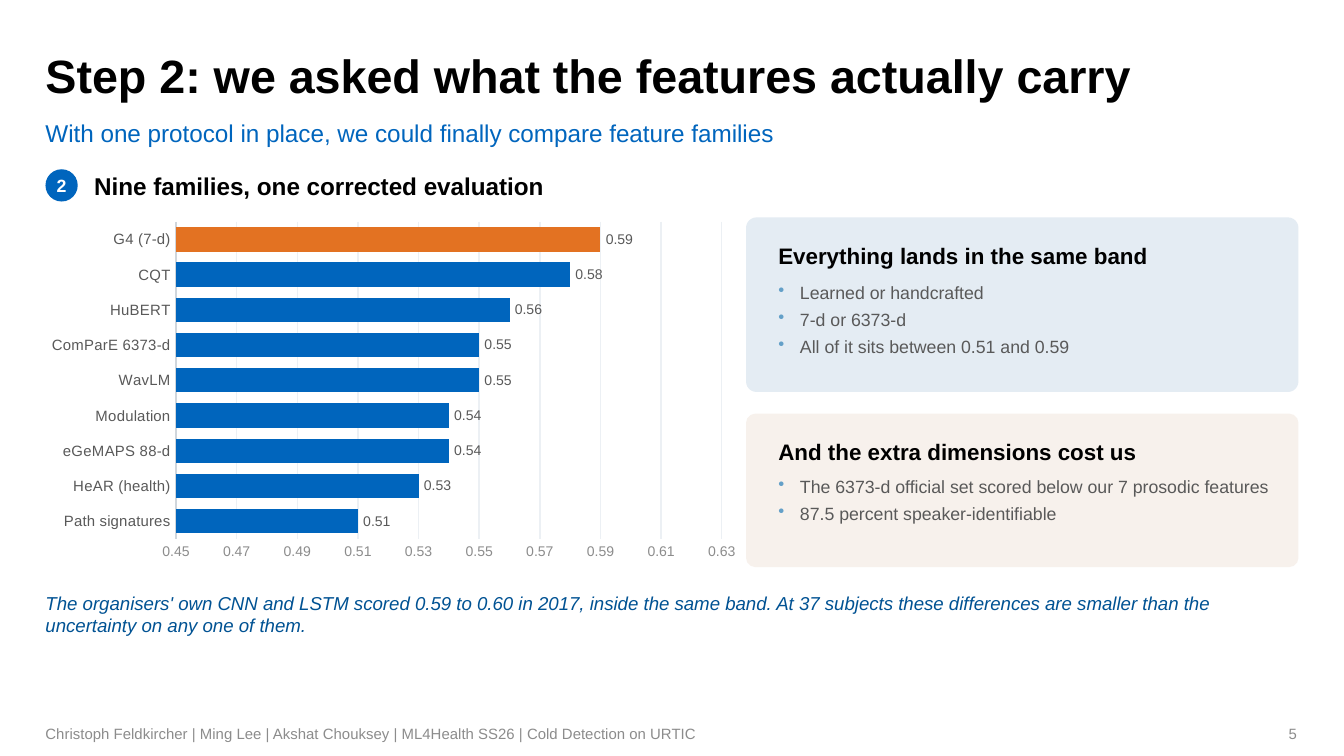
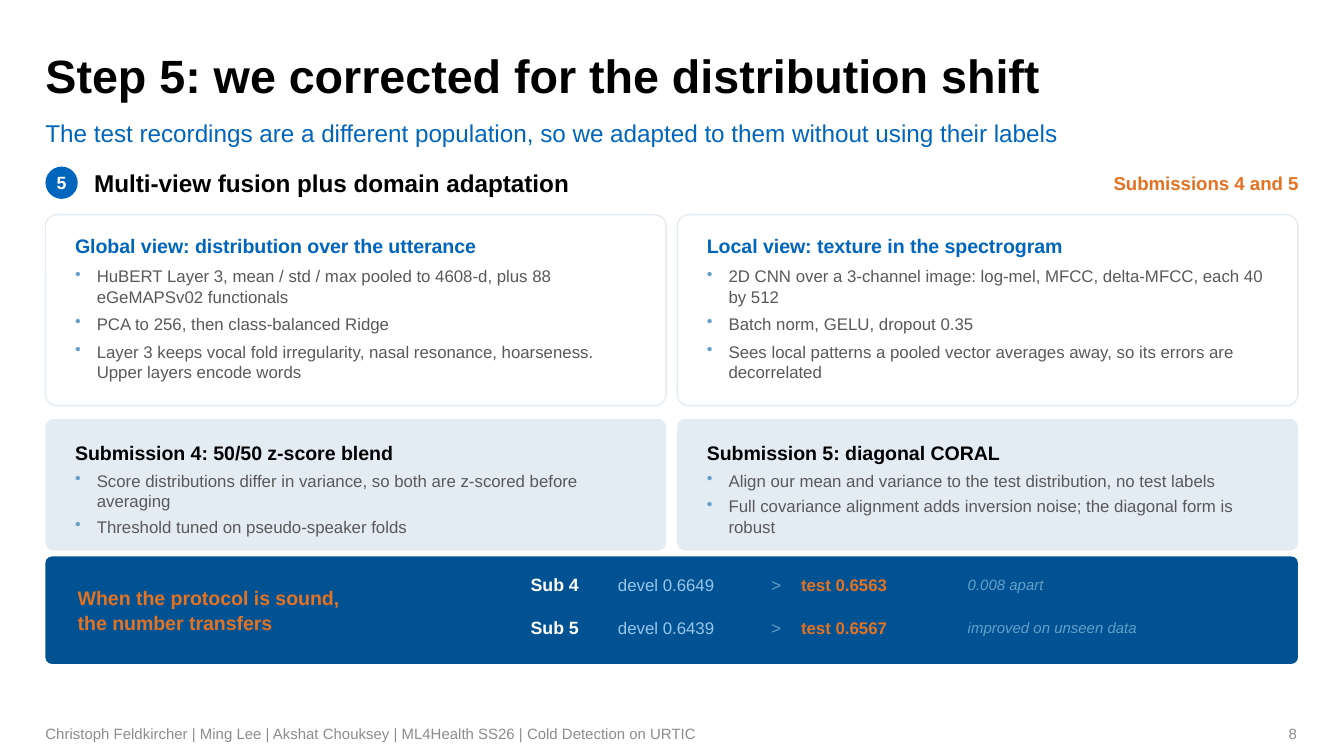
import pptx
import pptx.chart.data
import pptx.dml.color
import pptx.enum.chart
import pptx.enum.shapes
import pptx.enum.text
import pptx.oxml.ns
import pptx.util
from lxml import etree

Cm, Pt = pptx.util.Cm, pptx.util.Pt
ALIGN = pptx.enum.text.PP_ALIGN
ANCHOR = pptx.enum.text.MSO_ANCHOR
SHAPE = pptx.enum.shapes.MSO_SHAPE
CHART = pptx.enum.chart

COLORS = {
    "black": "000000", "white": "FFFFFF", "blue": "0065BD", "navy": "005293",
    "orange": "E37222", "text": "595959", "muted": "8C8C8C", "bullet": "64A0C8",
    "sky": "98C6EA", "pale": "E4ECF3", "sand": "F7F1EC", "axis": "D0D6DC",
    "grid": "ECF0F4",
}
FONT = "Arial"
LEFT, WIDTH = 0.86, 23.67  # content column, in cm

STYLES = {
    "title": {"size": Pt(25), "bold": True, "color": "black"},
    "subtitle": {"size": Pt(13), "color": "blue"},
    "footer": {"size": Pt(8), "color": "muted"},
    "badge": {"size": Pt(9.5), "bold": True, "color": "white"},
    "heading": {"size": Pt(13), "bold": True, "color": "black"},
    "tag": {"size": Pt(10), "bold": True, "color": "orange"},
    "card large": {"size": Pt(12), "bold": True, "color": "black"},
    "card": {"size": Pt(10.5), "bold": True, "color": "black"},
    "card blue": {"size": Pt(10.5), "bold": True, "color": "blue"},
    "bullets large": {"size": Pt(9.5), "color": "text"},
    "bullets": {"size": Pt(9), "color": "text"},
    "note": {"size": Pt(10), "italic": True, "color": "navy"},
    "claim": {"size": Pt(10.5), "bold": True, "color": "orange"},
    "devel": {"size": Pt(9), "color": "sky"},
    "arrow": {"size": Pt(9), "color": "bullet"},
    "test": {"size": Pt(9), "bold": True, "color": "orange"},
    "remark": {"size": Pt(8), "italic": True, "color": "bullet"},
    "categories": {"size": Pt(8), "color": "text"},
    "values": {"size": Pt(7.5), "color": "muted"},
    "labels": {"size": Pt(7.5), "color": "text"},
}


def rgb(name):
    return pptx.dml.color.RGBColor.from_string(COLORS[name])


class SlideBuilder:
    """Holds the shared style and the slide being built."""

    def __init__(self):
        self.deck = pptx.Presentation()
        self.deck.slide_width, self.deck.slide_height = Cm(25.4), Cm(14.29)
        self.page = None

    def start(self, number, title, subtitle):
        self.page = self.deck.slides.add_slide(self.deck.slide_layouts[6])
        self.text((LEFT, 0.81, 23.65, 1.07), [title], "title", line_spacing=Pt(32))
        self.text((LEFT, 1.9, 23.65, 0.89), [subtitle], "subtitle",
                  inset_top=0.25, line_spacing=Pt(18))
        self.text((LEFT, 13.49, 17.96, 0.76),
                  ["Christoph Feldkircher | Ming Lee | Akshat Chouksey | "
                   "ML4Health SS26 | Cold Detection on URTIC"],
                  "footer", ANCHOR.MIDDLE)
        self.text((18.82, 13.49, 5.69, 0.76), [str(number)], "footer",
                  ANCHOR.MIDDLE, alignment=ALIGN.RIGHT)

    def style(self, font, name):
        font.name = FONT
        for key, value in STYLES[name].items():
            if key == "color":
                font.color.rgb = rgb(value)
            else:
                setattr(font, key, value)

    def fill_text(self, shape, lines, style, anchor=ANCHOR.TOP, inset_top=0,
                  bulleted=False, **paragraph_format):
        frame = shape.text_frame
        frame_format = {
            "word_wrap": True, "vertical_anchor": anchor, "margin_left": 0,
            "margin_top": Cm(inset_top), "margin_right": 0, "margin_bottom": 0,
        }
        for key, value in frame_format.items():
            setattr(frame, key, value)
        for index, line in enumerate(lines):
            para = frame.add_paragraph() if index else frame.paragraphs[0]
            if bulleted:
                self.bullet(para)
            for key, value in paragraph_format.items():
                setattr(para, key, value)
            span = para.add_run()
            span.text = line
            self.style(span.font, style)

    def bullet(self, para):
        properties = para._p.get_or_add_pPr()
        properties.set("marL", str(Cm(0.41)))
        properties.set("indent", str(-Cm(0.41)))
        qn = pptx.oxml.ns.qn
        color = etree.SubElement(properties, qn("a:buClr"))
        etree.SubElement(color, qn("a:srgbClr"), val=COLORS["bullet"])
        etree.SubElement(properties, qn("a:buChar"), char="•")

    def text(self, area, lines, style, anchor=ANCHOR.TOP, **options):
        box = self.page.shapes.add_textbox(*map(Cm, area))
        self.fill_text(box, lines, style, anchor, **options)

    def shape(self, kind, area, fill, line=None):
        shape = self.page.shapes.add_shape(kind, *map(Cm, area))
        shape.shadow.inherit = False
        shape.fill.solid()
        shape.fill.fore_color.rgb = rgb(fill)
        if line:
            shape.line.color.rgb = rgb(line)
            shape.line.width = Pt(0.75)
        else:
            shape.line.fill.background()
        if kind == SHAPE.ROUNDED_RECTANGLE:
            shape.adjustments[0] = 0.06
        return shape

    def panel(self, area, fill, line=None):
        return self.shape(SHAPE.ROUNDED_RECTANGLE, area, fill, line)

    def section(self, top, number, heading):
        badge = self.shape(SHAPE.OVAL, (LEFT, top, 0.61, 0.61), "blue")
        self.fill_text(badge, [str(number)], "badge", ANCHOR.MIDDLE,
                       alignment=ALIGN.CENTER)
        self.text((1.78, top, 13, 0.61), [heading], "heading", ANCHOR.MIDDLE)

    def card(self, area, fill, heading, bullets, pad, heading_drop, bullet_drop,
             style="card", bullet_style="bullets", gap=3, line=None):
        left, top, width, height = area
        self.panel(area, fill, line)
        inner = width - 2 * pad
        self.text((left + pad, top + heading_drop, inner, 0.55), [heading], style)
        self.text((left + pad, top + bullet_drop, inner + 0.13,
                   height - bullet_drop - 0.15),
                  bullets, bullet_style, bulleted=True, space_after=Pt(gap))

    def bar_chart(self, area, scores, highlight):
        data = pptx.chart.data.CategoryChartData(number_format="0.00")
        data.categories = list(scores)
        data.add_series("Series 1", list(scores.values()))
        chart = self.page.shapes.add_chart(
            CHART.XL_CHART_TYPE.BAR_CLUSTERED, *map(Cm, area), data).chart
        chart.has_legend = chart.has_title = False
        self.style(chart.font, "categories")

        # Bars and their values
        plot = chart.plots[0]
        plot.gap_width, plot.vary_by_categories = 45, False
        series = plot.series[0]
        point = series.points[list(scores).index(highlight)]
        for bar, color in ((series, "blue"), (point, "orange")):
            bar.format.fill.solid()
            bar.format.fill.fore_color.rgb = rgb(color)
        labels = series.data_labels
        label_format = {
            "show_value": True, "number_format": "0.00",
            "number_format_is_linked": False,
            "position": CHART.XL_LABEL_POSITION.OUTSIDE_END,
        }
        for key, value in label_format.items():
            setattr(labels, key, value)
        self.style(labels.font, "labels")

        # Axes
        names, values = chart.category_axis, chart.value_axis
        for axis, style in ((names, "categories"), (values, "values")):
            axis.major_tick_mark = axis.minor_tick_mark = CHART.XL_TICK_MARK.NONE
            self.style(axis.tick_labels.font, style)
        names.has_major_gridlines = False
        value_format = {"minimum_scale": 0.45, "maximum_scale": 0.63,
                        "major_unit": 0.02, "has_major_gridlines": True}
        for key, value in value_format.items():
            setattr(values, key, value)
        values.tick_labels.number_format = "0.00"
        values.tick_labels.number_format_is_linked = False
        values.format.line.fill.background()
        for line, color in ((names.format.line, "axis"),
                            (values.major_gridlines.format.line, "grid")):
            line.color.rgb = rgb(color)
            line.width = Pt(0.75)


def feature_slide(builder):
    builder.start(5, "Step 2: we asked what the features actually carry",
                  "With one protocol in place, we could finally compare feature families")
    builder.section(3.2, 2, "Nine families, one corrected evaluation")
    scores = {
        "Path signatures": 0.51, "HeAR (health)": 0.53, "eGeMAPS 88-d": 0.54,
        "Modulation": 0.54, "WavLM": 0.55, "ComParE 6373-d": 0.55,
        "HuBERT": 0.56, "CQT": 0.58, "G4 (7-d)": 0.59,
    }
    builder.bar_chart((0.71, 4.06, 13.46, 6.65), scores, "G4 (7-d)")

    # Findings beside the chart
    findings = [
        (4.11, 3.3, 1.22, "pale", "Everything lands in the same band",
         ["Learned or handcrafted", "7-d or 6373-d",
          "All of it sits between 0.51 and 0.59"]),
        (7.82, 2.9, 1.17, "sand", "And the extra dimensions cost us",
         ["The 6373-d official set scored below our 7 prosodic features",
          "87.5 percent speaker-identifiable"]),
    ]
    for top, height, bullet_drop, fill, heading, bullets in findings:
        builder.card((14.1, top, 10.44, height), fill, heading, bullets,
                     0.61, 0.46, bullet_drop, "card large", "bullets large")
    builder.text((LEFT, 11.18, WIDTH, 1.22),
                 ["The organisers' own CNN and LSTM scored 0.59 to 0.60 in 2017, "
                  "inside the same band. At 37 subjects these differences are "
                  "smaller than the uncertainty on any one of them."], "note")


def shift_slide(builder):
    builder.start(8, "Step 5: we corrected for the distribution shift",
                  "The test recordings are a different population, so we adapted "
                  "to them without using their labels")
    builder.section(3.15, 5, "Multi-view fusion plus domain adaptation")
    builder.text((19.18, 3.15, 5.36, 0.61), ["Submissions 4 and 5"], "tag",
                 ANCHOR.MIDDLE, alignment=ALIGN.RIGHT)

    # Two views above, two submissions below
    views = [
        ("Global view: distribution over the utterance",
         ["HuBERT Layer 3, mean / std / max pooled to 4608-d, plus 88 "
          "eGeMAPSv02 functionals",
          "PCA to 256, then class-balanced Ridge",
          "Layer 3 keeps vocal fold irregularity, nasal resonance, hoarseness. "
          "Upper layers encode words"]),
        ("Local view: texture in the spectrogram",
         ["2D CNN over a 3-channel image: log-mel, MFCC, delta-MFCC, each 40 by 512",
          "Batch norm, GELU, dropout 0.35",
          "Sees local patterns a pooled vector averages away, so its errors are "
          "decorrelated"]),
    ]
    submissions = [
        ("Submission 4: 50/50 z-score blend",
         ["Score distributions differ in variance, so both are z-scored before "
          "averaging",
          "Threshold tuned on pseudo-speaker folds"]),
        ("Submission 5: diagonal CORAL",
         ["Align our mean and variance to the test distribution, no test labels",
          "Full covariance alignment adds inversion noise; the diagonal form is "
          "robust"]),
    ]
    card_width, card_step = 11.73, 11.94
    rows = [
        (views, 4.06, 3.61, "white", 0.36,
         {"style": "card blue", "gap": 4, "line": "pale"}),
        (submissions, 7.92, 2.49, "pale", 0.41, {}),
    ]
    for cards, top, height, fill, heading_drop, options in rows:
        for column, (heading, bullets) in enumerate(cards):
            area = (LEFT + column * card_step, top, card_width, height)
            builder.card(area, fill, heading, bullets, 0.56, heading_drop, 0.97,
                         **options)

    # Result band
    builder.panel((LEFT, 10.52, WIDTH, 2.03), "navy")
    builder.text((1.47, 10.52, 8.38, 2.03),
                 ["When the protocol is sound,", "the number transfers"],
                 "claim", ANCHOR.MIDDLE, space_after=Pt(1))
    columns = [(10.03, 1.52, "badge"), (11.68, 2.79, "devel"), (14.58, 0.46, "arrow"),
               (15.14, 2.79, "test"), (18.29, 5.59, "remark")]
    results = [
        ("Sub 4", "devel 0.6649", ">", "test 0.6563", "0.008 apart"),
        ("Sub 5", "devel 0.6439", ">", "test 0.6567", "improved on unseen data"),
    ]
    for row, result in enumerate(results):
        for (left, width, style), value in zip(columns, result):
            builder.text((left, 10.72 + row * 0.81, width, 0.66), [value], style,
                         ANCHOR.MIDDLE)


def main():
    builder = SlideBuilder()
    feature_slide(builder)
    shift_slide(builder)
    builder.deck.save("out.pptx")


if __name__ == "__main__":
    main()
